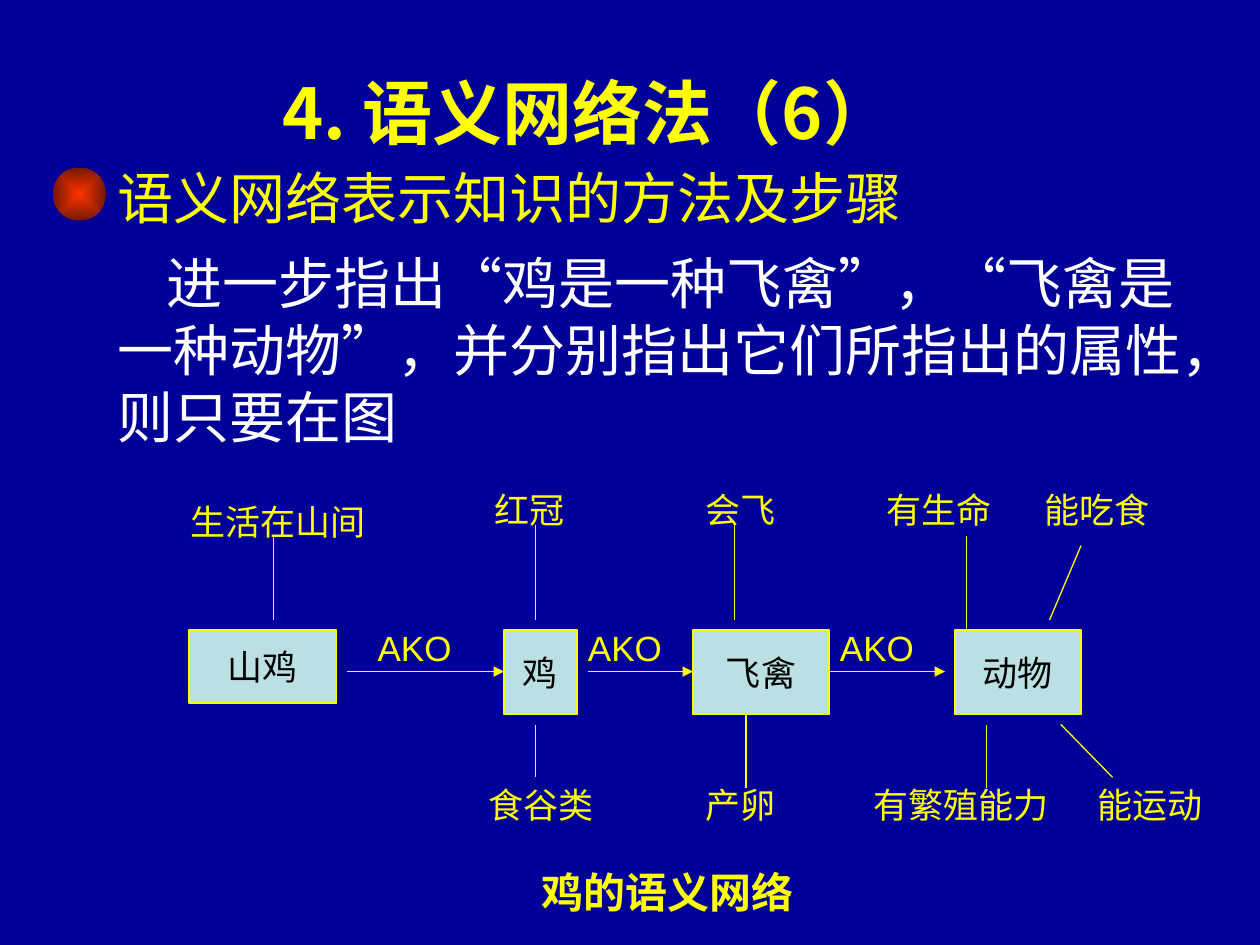
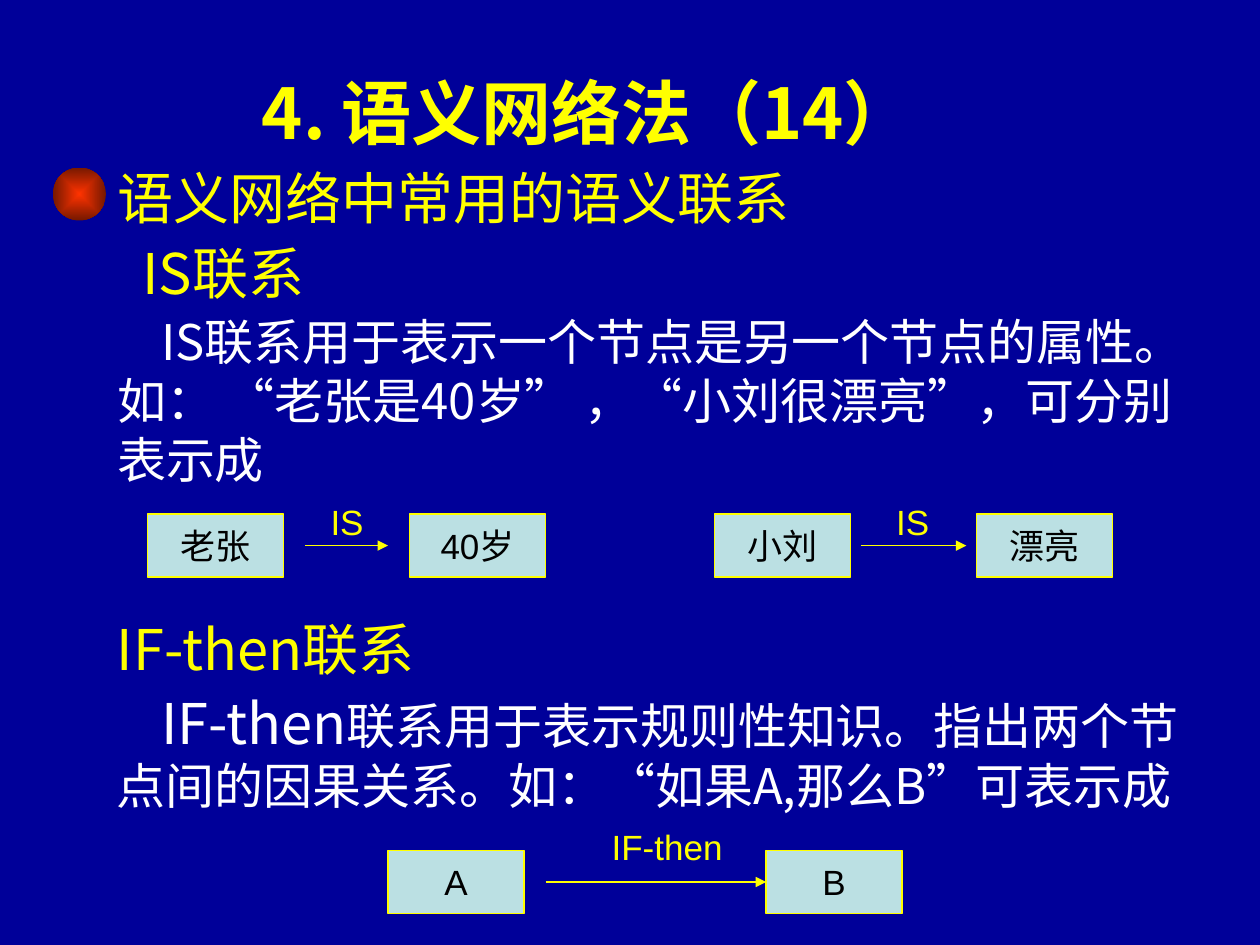
from lxml.etree import SubElement
from pptx import Presentation
from pptx.dml.color import RGBColor
from pptx.enum.shapes import MSO_CONNECTOR as CONN, MSO_SHAPE as SHAPE
from pptx.enum.text import MSO_ANCHOR as ANCHOR, MSO_AUTO_SIZE as FIT, PP_ALIGN as ALIGN
from pptx.oxml.ns import qn
from pptx.util import Inches, Pt

COLORS = {
    "back": "000099", "accent": "FFFF00", "text": "FFFFFF", "node": "BBE0E3",
    "ink": "000000", "ball_in": "FF3300", "ball_out": "761800",
}
CJK, LATIN = "Noto Sans CJK SC", "Arial"
TITLE = {"name": CJK, "size": Pt(40), "bold": True}
HEAD = {"name": CJK, "size": Pt(32), "bold": False}
BODY = {"name": CJK, "size": Pt(28), "bold": False}
LABEL = {"name": LATIN, "size": Pt(20), "bold": False}
CAPTION = {"name": LATIN, "size": Pt(24), "bold": True}


def rgb(key):
    return RGBColor.from_string(COLORS[key])


def place(sp, x, y, w, h):
    for name, value in zip(("left", "top", "width", "height"), (x, y, w, h)):
        setattr(sp, name, Inches(value))


def add_run(p, text, style, color):
    r = p.add_run()
    r.text = text
    for name, value in style.items():
        setattr(r.font, name, value)
    r.font.color.rgb = rgb(color)
    SubElement(r._r.get_or_add_rPr(), qn("a:ea"), typeface=CJK)


def set_frame(tf, wrap=True, anchor=ANCHOR.TOP):
    frame = {
        "word_wrap": wrap, "auto_size": FIT.NONE, "vertical_anchor": anchor,
        "margin_left": Inches(0.1), "margin_right": Inches(0.1),
        "margin_top": Inches(0.05), "margin_bottom": Inches(0.05),
    }
    for name, value in frame.items():
        setattr(tf, name, value)


def write_line(tf, text, style, color):
    p = tf.paragraphs[0]
    p.alignment = ALIGN.CENTER
    add_run(p, text, style, color)


def write_paragraphs(sp, paragraphs):
    """Fill a shape from (first-line indent, space before, runs) tuples."""
    tf = sp.text_frame
    set_frame(tf)
    for i, (indent, before, runs) in enumerate(paragraphs):
        p = tf.add_paragraph() if i else tf.paragraphs[0]
        p.space_before = Pt(before)
        pPr = p._p.get_or_add_pPr()
        pPr.set("marL", "0")
        pPr.set("indent", str(Inches(indent)))
        SubElement(pPr, qn("a:buNone"))
        for run in runs:
            add_run(p, *run)


def add_ball(s):
    sp = s.shapes.add_shape(SHAPE.OVAL, *map(Inches, (0.42, 1.33, 0.42, 0.42)))
    sp.shadow.inherit = False
    sp.line.fill.background()
    sp.fill.gradient()
    for stop, key in zip(sp.fill.gradient_stops, ("ball_in", "ball_out")):
        stop.color.rgb = rgb(key)
    grad = sp._element.spPr.find(qn("a:gradFill"))
    grad.remove(grad.find(qn("a:lin")))
    path = SubElement(grad, qn("a:path"), path="rect")
    SubElement(path, qn("a:fillToRect"), dict.fromkeys("ltrb", "50000"))


def add_slide(prs, title, body_height, paragraphs):
    s = prs.slides.add_slide(prs.slide_layouts[1])
    head, body = s.shapes.title, s.placeholders[1]
    place(head, 0.58, 0.5, 8.17, 0.77)
    set_frame(head.text_frame)
    write_line(head.text_frame, title, TITLE, "accent")
    place(body, 0.83, 1.25, 8.67, body_height)
    write_paragraphs(body, paragraphs)
    add_ball(s)
    return s


def add_node(s, text, x, y, w, h):
    sp = s.shapes.add_shape(SHAPE.RECTANGLE, *map(Inches, (x, y, w, h)))
    sp.shadow.inherit = False
    sp.fill.solid()
    sp.fill.fore_color.rgb = rgb("node")
    sp.line.color.rgb = rgb("accent")
    sp.line.width = Pt(0.75)
    set_frame(sp.text_frame, False, ANCHOR.MIDDLE)
    write_line(sp.text_frame, text, LABEL, "ink")


def add_label(s, text, x, y, w=1.75, h=0.44, style=LABEL):
    sp = s.shapes.add_textbox(*map(Inches, (x, y, w, h)))
    set_frame(sp.text_frame)
    write_line(sp.text_frame, text, style, "accent")


def add_link(s, x1, y1, x2, y2, arrow=False):
    c = s.shapes.add_connector(CONN.STRAIGHT, *map(Inches, (x1, y1, x2, y2)))
    c.line.color.rgb = rgb("accent")
    c.line.width = Pt(0.75)
    if arrow:
        SubElement(c.line._get_or_add_ln(), qn("a:tailEnd"), type="triangle")
    SubElement(c._element.spPr, qn("a:effectLst"))


def build_chicken_network(prs):
    s = add_slide(prs, "4. 语义网络法（6）", 2.38, [
        (0, 0, [("语义网络表示知识的方法及步骤", HEAD, "accent")]),
        (0.39, 10, [("进一步指出“鸡是一种飞禽”，“飞禽是一种动物”，"
                     "并分别指出它们所指出的属性，则只要在图", HEAD, "text")]),
    ])
    for text, x, w, h in [("山鸡", 1.5, 1.17, 0.58), ("鸡", 4, 0.58, 0.67),
                          ("飞禽", 5.5, 1.08, 0.67), ("动物", 7.58, 1, 0.67)]:
        add_node(s, text, x, 5, w, h)
    for x1, x2, label_x in [(2.75, 4, 2.58), (4.67, 5.5, 4.25), (6.58, 7.5, 6.25)]:
        add_link(s, x1, 5.33, x2, 5.33, True)
        add_label(s, "AKO", label_x, 4.92, 1.42)
    for ends in [(2.17, 4.25, 2.17, 4.92), (4.25, 4.17, 4.25, 4.92),
                 (5.83, 4.17, 5.83, 4.92), (7.67, 4.25, 7.67, 5),
                 (8.58, 4.33, 8.33, 4.92), (4.25, 5.75, 4.25, 6.17),
                 (5.92, 5.67, 5.92, 6.25), (7.83, 5.75, 7.83, 6.25),
                 (8.42, 5.75, 8.83, 6.17)]:
        add_link(s, *ends)
    add_label(s, "生活在山间", 1.33, 3.92)
    for y, labels in {
        3.83: [("红冠", 3.33), ("会飞", 5), ("有生命", 6.58), ("能吃食", 7.83)],
        6.17: [("食谷类", 3.42), ("产卵", 5), ("有繁殖能力", 6.75), ("能运动", 8.25)],
    }.items():
        for text, x in labels:
            add_label(s, text, x, y)
    add_label(s, "鸡的语义网络", 3.92, 6.83, 2.75, 0.5, CAPTION)


def build_common_relations(prs):
    s = add_slide(prs, "4. 语义网络法（14）", 2.67, [
        (0, 0, [("语义网络中常用的语义联系", HEAD, "accent")]),
        (0.2, 4, [("IS联系", HEAD, "accent")]),
        (0.35, 3.5, [("IS联系用于表示一个节点是另一个节点的属性。如： “老张是40岁” ，"
                      "“小刘很漂亮”，可分别表示成", BODY, "text")]),
    ])
    rule = s.shapes.add_textbox(*map(Inches, (0.83, 4.83, 8.83, 2.15)))
    write_paragraphs(rule, [
        (0, 0, [("IF-then联系", HEAD, "accent")]),
        (0.35, 3.5, [("IF-then", HEAD, "text"),
                     ("联系用于表示规则性知识。指出两个节点间的因果关系。如："
                      "“如果A,那么B”可表示成", BODY, "text")]),
    ])
    for left, x1, right, x2, y in [("老张", 1.17, "40岁", 3.25, 4.08),
                                   ("小刘", 5.67, "漂亮", 7.75, 4.08),
                                   ("A", 3.08, "B", 6.08, 6.75)]:
        add_node(s, left, x1, y, 1.08, 0.5)
        add_node(s, right, x2, y, 1.08, 0.5)
    for text, x1, x2, y, label_x, w in [("IS", 2.42, 3.08, 4.33, 2.42, 0.67),
                                        ("IS", 6.83, 7.67, 4.33, 6.83, 0.83),
                                        ("IF-then", 4.33, 6.08, 7, 4.42, 1.75)]:
        add_link(s, x1, y, x2, y, True)
        add_label(s, text, label_x, 6.5 if y == 7 else 3.92, w)


def main():
    prs = Presentation()
    prs.slide_width, prs.slide_height = Inches(10), Inches(7.5)
    fill = prs.slide_master.background.fill
    fill.solid()
    fill.fore_color.rgb = rgb("back")
    build_chicken_network(prs)
    build_common_relations(prs)
    prs.save("out.pptx")


if __name__ == "__main__":
    main()
